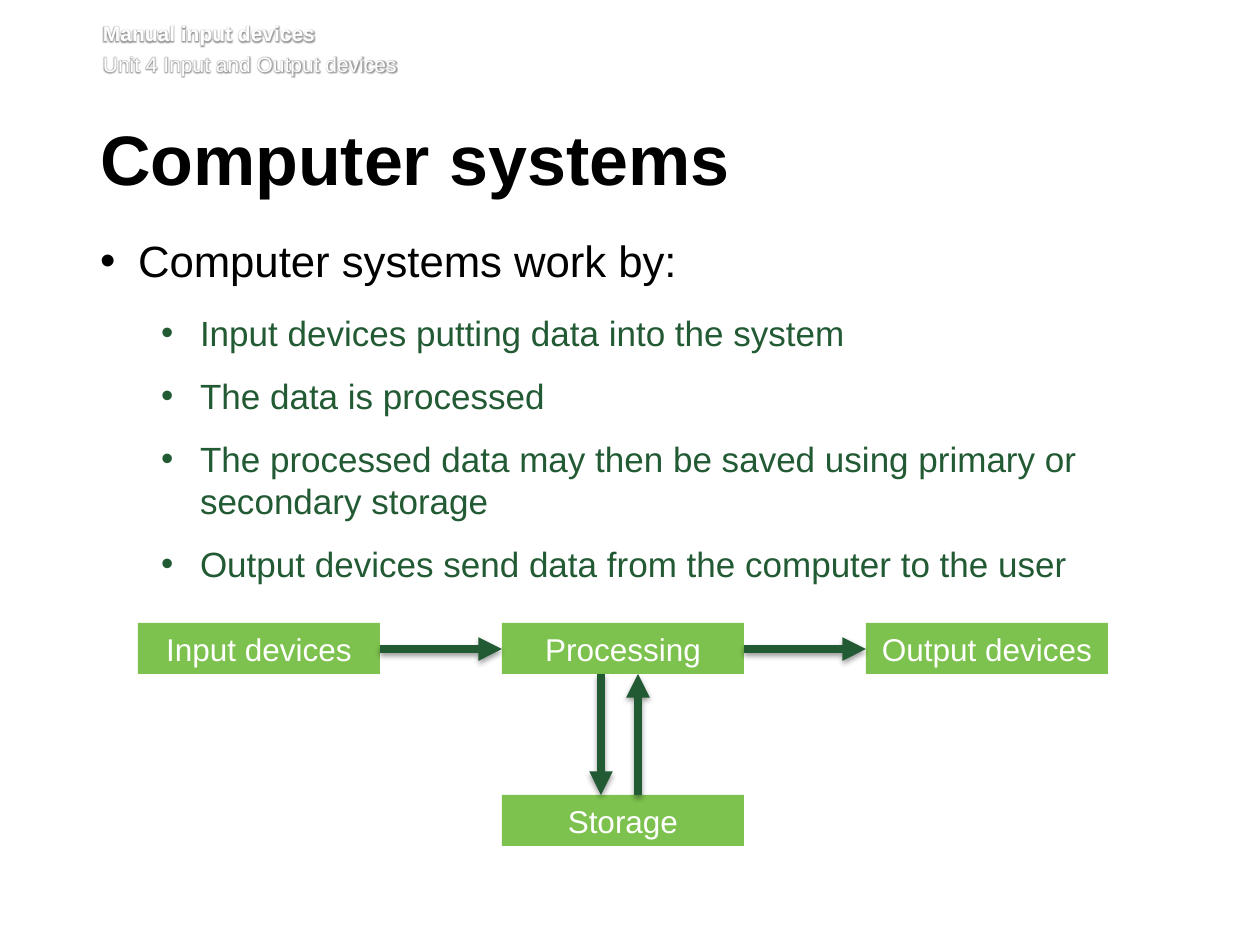
from dataclasses import dataclass

from lxml import etree
from pptx import Presentation, util as u
from pptx.dml.color import RGBColor
from pptx.enum import shapes, text
from pptx.oxml import parse_xml
from pptx.oxml.ns import qn

PX = 914400 / 126  # EMU in one px
NS = 'xmlns:a="http://schemas.openxmlformats.org/drawingml/2006/main"'
GLOW = (f'<a:effectLst {NS}><a:glow rad="38100"><a:srgbClr val="000000">'
        '<a:alpha val="40000"/></a:srgbClr></a:glow></a:effectLst>')
SHADOW = (f'<a:effectLst {NS}><a:outerShdw blurRad="40000" dist="20000" dir="5400000" '
          'rotWithShape="0"><a:srgbClr val="000000"><a:alpha val="38000"/>'
          '</a:srgbClr></a:outerShdw></a:effectLst>')


@dataclass(frozen=True)
class Theme:
    font: str = "Arial"
    black: str = "000000"
    white: str = "FFFFFF"
    dark_green: str = "225A34"
    light_green: str = "7DC24E"
    header: int = 12
    title: int = 40
    lead: int = 25
    point: int = 20
    label: int = 18
    arrow: float = 4.5


THEME = Theme()


def px(*lengths):
    return [u.Emu(round(length * PX)) for length in lengths]


def style(para, size, color, bold=False):
    for span in para.runs:
        span.font.name = THEME.font
        span.font.size = u.Pt(size)
        span.font.bold = bold
        span.font.color.rgb = RGBColor.from_string(color)


def set_frame(frame, left, top, right, bottom):
    frame.word_wrap = True
    frame.auto_size = text.MSO_AUTO_SIZE.NONE
    frame.vertical_anchor = text.MSO_ANCHOR.TOP
    (frame.margin_left, frame.margin_top,
     frame.margin_right, frame.margin_bottom) = px(left, top, right, bottom)


def place(holder, box):
    holder.left, holder.top, holder.width, holder.height = px(*box)
    return holder.text_frame


def add_header(page, box, lines):
    frame = page.shapes.add_textbox(*px(*box)).text_frame
    set_frame(frame, 0, 0, 0, 6)
    frame.text = "\n".join(lines)
    for index, para in enumerate(frame.paragraphs):
        para.space_before = u.Pt(2.9 if index else 0)
        style(para, THEME.header, THEME.white, bold=index == 0)
        # White letters stand out through a soft dark glow
        for span in para.runs:
            fill = span.font._element.find(qn("a:solidFill"))
            fill.addnext(parse_xml(GLOW))


def add_title(page, box, wording):
    frame = place(page.shapes.title, box)
    set_frame(frame, 0, 6, 13, 6)
    frame.text = wording
    para = frame.paragraphs[0]
    para.alignment = text.PP_ALIGN.LEFT
    para.line_spacing = u.Pt(39)
    style(para, THEME.title, THEME.black, bold=True)


def add_list(page, box, lead, points):
    frame = place(page.placeholders[1], box)
    set_frame(frame, 0, 0, 13, 6)
    frame.text = "\n".join([lead, *points])
    for index, para in enumerate(frame.paragraphs):
        level = min(index, 1)
        margin, hanging = [(38, 38), (100, 39)][level]
        para.level = level
        left, indent = px(margin, -hanging)
        props = para._p.get_or_add_pPr()
        props.set("marL", str(left))
        props.set("indent", str(indent))
        etree.SubElement(props, qn("a:buFont")).set("typeface", THEME.font)
        etree.SubElement(props, qn("a:buChar")).set("char", "•")
        para.space_before = u.Pt(0)
        para.space_after = u.Pt([14, 12][level])
        style(para, [THEME.lead, THEME.point][level],
              [THEME.black, THEME.dark_green][level])


def add_node(page, box, label):
    node = page.shapes.add_shape(shapes.MSO_SHAPE.RECTANGLE, *px(*box))
    node.shadow.inherit = False
    node.fill.solid()
    node.fill.fore_color.rgb = RGBColor.from_string(THEME.light_green)
    node.line.fill.background()
    frame = node.text_frame
    frame.word_wrap = True
    frame.auto_size = text.MSO_AUTO_SIZE.SHAPE_TO_FIT_TEXT
    frame.text = label
    para = frame.paragraphs[0]
    para.alignment = text.PP_ALIGN.CENTER
    style(para, THEME.label, THEME.white)


def add_arrow(page, start, end):
    arrow = page.shapes.add_connector(shapes.MSO_CONNECTOR.STRAIGHT, *px(*start, *end))
    arrow.line.width = u.Pt(THEME.arrow)
    arrow.line.color.rgb = RGBColor.from_string(THEME.dark_green)
    line = arrow.line._get_or_add_ln()
    etree.SubElement(line, qn("a:tailEnd")).set("type", "triangle")
    line.addnext(parse_xml(SHADOW))


def add_flow(page, box, steps, store):
    left, top, width, height = box
    node_width, node_height = 242, 51
    pitch = (width - node_width) // (len(steps) - 1)
    bottom = top + height - node_height
    # Row of steps, with the store below the middle one
    for index, label in enumerate(steps):
        add_node(page, (left + index * pitch, top, node_width, node_height), label)
    add_node(page, (left + pitch, bottom, node_width, node_height), store)
    # Arrows along the row
    middle = top + node_height // 2 + 1
    for index in range(len(steps) - 1):
        start = left + index * pitch + node_width
        add_arrow(page, (start, middle), (left + (index + 1) * pitch, middle))
    # Arrows to and from the store
    down, up = left + pitch + 99, left + pitch + 136
    add_arrow(page, (up, bottom), (up, top + node_height))
    add_arrow(page, (down, top + node_height), (down, bottom))


def main():
    deck = Presentation()
    deck.slide_width, deck.slide_height = px(1260, 945)
    page = deck.slides.add_slide(deck.slide_layouts[1])
    add_header(page, (103, 21, 1111, 62),
               ["Manual input devices", "Unit 4 Input and Output devices"])
    add_title(page, (100, 125, 1077, 92), "Computer systems")
    add_list(page, (100, 234, 1075, 476), "Computer systems work by:", [
        "Input devices putting data into the system",
        "The data is processed",
        "The processed data may then be saved using primary or secondary storage",
        "Output devices send data from the computer to the user",
    ])
    add_flow(page, (138, 623, 970, 223),
             ["Input devices", "Processing", "Output devices"], "Storage")
    deck.save("out.pptx")


if __name__ == "__main__":
    main()
